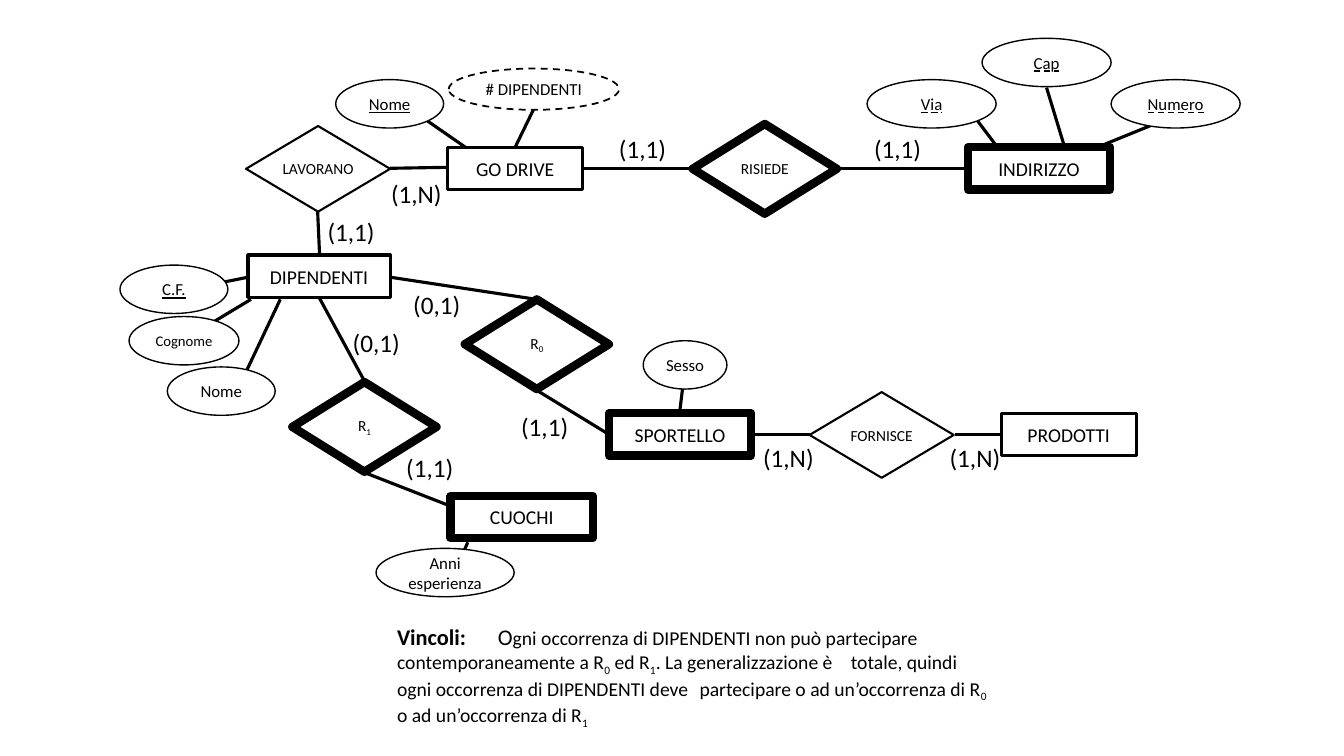
from lxml import etree
from pptx import Presentation
from pptx.dml.color import RGBColor
from pptx.enum.dml import MSO_LINE
from pptx.enum.shapes import MSO_CONNECTOR, MSO_SHAPE
from pptx.enum.text import MSO_ANCHOR, MSO_AUTO_SIZE, MSO_UNDERLINE, PP_ALIGN
from pptx.oxml.ns import qn
from pptx.util import Pt

PX = 9144
RECT, DIAMOND, OVAL = MSO_SHAPE.RECTANGLE, MSO_SHAPE.DIAMOND, MSO_SHAPE.OVAL
STRAIGHT = MSO_CONNECTOR.STRAIGHT
MIDDLE, CENTER = MSO_ANCHOR.MIDDLE, PP_ALIGN.CENTER
FIT = MSO_AUTO_SIZE.SHAPE_TO_FIT_TEXT
DASH = MSO_LINE.DASH
SOLID_KEY, DASH_KEY = MSO_UNDERLINE.SINGLE_LINE, MSO_UNDERLINE.DASH_LINE
COLORS = {"ink": "000000", "paper": "FFFFFF"}
INK = RGBColor.from_string(COLORS["ink"])
PAPER = RGBColor.from_string(COLORS["paper"])
THIN, NORMAL, THICK = 1.5, 2.25, 6

prs = Presentation()
prs.slide_width, prs.slide_height = 1333 * PX, 750 * PX
slide = prs.slides.add_slide(prs.slide_layouts[6])


def add_run(p, text, size, bold=False, underline=None, sub=False):
    r = p.add_run()
    r.text = text
    r.font.name = "Calibri"
    r.font.size = Pt(size)
    r.font.bold = bold
    r.font.underline = underline
    r.font.color.rgb = INK
    if sub:
        r.font._element.set("baseline", "-25000")


def add_node(kind, box, width):
    s = slide.shapes.add_shape(kind, *[v * PX for v in box])
    s.shadow.inherit = False
    s.fill.solid()
    s.fill.fore_color.rgb = PAPER
    s.line.color.rgb = INK
    s.line.width = Pt(width)
    s.text_frame.word_wrap = True
    s.text_frame.vertical_anchor = MIDDLE
    s.text_frame.paragraphs[0].alignment = CENTER
    return s


links = [
    (473, 154, 424, 120), (511, 146, 529, 109), (578, 167, 687, 167),
    (831, 167, 960, 167), (1096, 143, 1187, 106), (987, 143, 953, 98),
    (1055, 143, 1038, 87), (444, 501, 362, 469), (532, 387, 604, 431),
    (947, 431, 993, 431), (745, 431, 803, 431), (249, 297, 194, 330),
    (246, 275, 221, 280), (278, 297, 244, 369), (464, 538, 447, 577),
    (387, 167, 444, 166), (317, 296, 362, 379), (532, 297, 387, 275),
    (315, 209, 317, 253), (679, 369, 674, 410),
]
for ends in links:
    c = slide.shapes.add_connector(STRAIGHT, *[v * PX for v in ends])
    c.line.color.rgb = INK
    c.line.width = Pt(NORMAL)
    etree.SubElement(c._element.spPr, qn("a:effectLst"))

entities = [
    ("GO DRIVE", 444, 146, 134, NORMAL), ("INDIRIZZO", 960, 146, 141, THICK),
    ("DIPENDENTI", 246, 253, 141, NORMAL), ("SPORTELLO", 604, 410, 141, THICK),
    ("PRODOTTI", 993, 410, 134, NORMAL), ("CUOCHI", 447, 492, 141, THICK),
]
for name, x, y, w, width in entities:
    s = add_node(RECT, (x, y, w, 42), width)
    add_run(s.text_frame.paragraphs[0], name, 14)

relations = [
    ("LAVORANO", "", 244, 125, 85, THIN), ("RISIEDE", "", 687, 123, 89, THICK),
    ("FORNISCE", "", 803, 389, 85, THIN), ("R", "0", 461, 297, 89, THICK),
    ("R", "1", 290, 379, 89, THICK),
]
for name, index, x, y, h, width in relations:
    s = add_node(DIAMOND, (x, y, 143, h), width)
    tf = s.text_frame
    tf.margin_left = tf.margin_right = tf.margin_top = tf.margin_bottom = 0
    add_run(tf.paragraphs[0], name, 11)
    if index:
        add_run(tf.paragraphs[0], index, 11, sub=True)

attributes = [
    ("Nome", 333, 79, 107, 12, SOLID_KEY), ("Cap", 974, 38, 128, 12, DASH_KEY),
    ("Numero", 1102, 79, 128, 12, DASH_KEY), ("Via", 860, 79, 128, 12, DASH_KEY),
    ("Nome", 166, 364, 107, 12, None), ("Cognome", 128, 314, 109, 10.5, None),
    ("C.F.", 119, 263, 107, 12, SOLID_KEY), ("Sesso", 638, 338, 83, 12, None),
    ("Anni esperienza", 373, 544, 137, 12, None),
]
for name, x, y, w, size, key in attributes:
    s = add_node(OVAL, (x, y, w, 48), 1)
    add_run(s.text_frame.paragraphs[0], name, size, underline=key)

derived = add_node(OVAL, (445, 68, 169, 41), 1.25)
derived.line.dash_style = DASH
add_run(derived.text_frame.paragraphs[0], "# DIPENDENTI", 12)

cardinalities = [
    ("(1,1)", 604, 127), ("(1,1)", 857, 127), ("(1,N)", 747, 434),
    ("(1,N)", 932, 434), ("(0,1)", 400, 282), ("(0,1)", 340, 320),
    ("(1,1)", 393, 444), ("(1,1)", 507, 403), ("(1,1)", 315, 210),
    ("(1,N)", 378, 172),
]
for text, x, y in cardinalities:
    tf = slide.shapes.add_textbox(x * PX, y * PX, 71 * PX, 40 * PX).text_frame
    tf.word_wrap = True
    tf.auto_size = FIT
    add_run(tf.paragraphs[0], text, 18)

tf = slide.shapes.add_textbox(384 * PX, 613 * PX, 607 * PX, 108 * PX).text_frame
tf.word_wrap = True
tf.auto_size = FIT
p = tf.paragraphs[0]
add_run(p, "Vincoli: \t", 16, bold=True)
add_run(p, "O", 16)
constraints = [
    ("gni occorrenza di DIPENDENTI non può partecipare \tcontemporaneamente a R", "0"),
    (" ed R", "1"),
    (". La generalizzazione è \ttotale, quindi ogni occorrenza di DIPENDENTI deve "
     "\tpartecipare o ad un’occorrenza di R", "0"),
    (" o ad un’occorrenza di R", "1"),
]
for text, index in constraints:
    add_run(p, text, 14)
    add_run(p, index, 14, sub=True)

prs.save("out.pptx")
